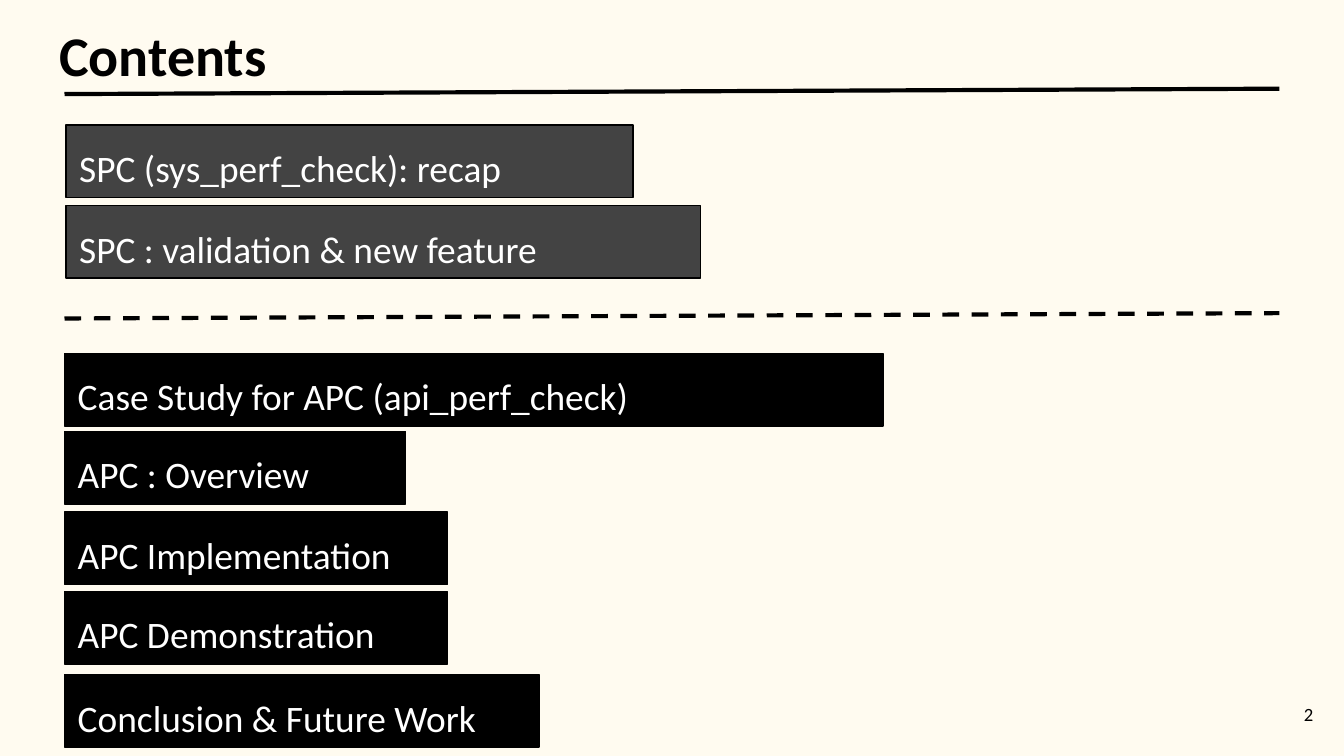
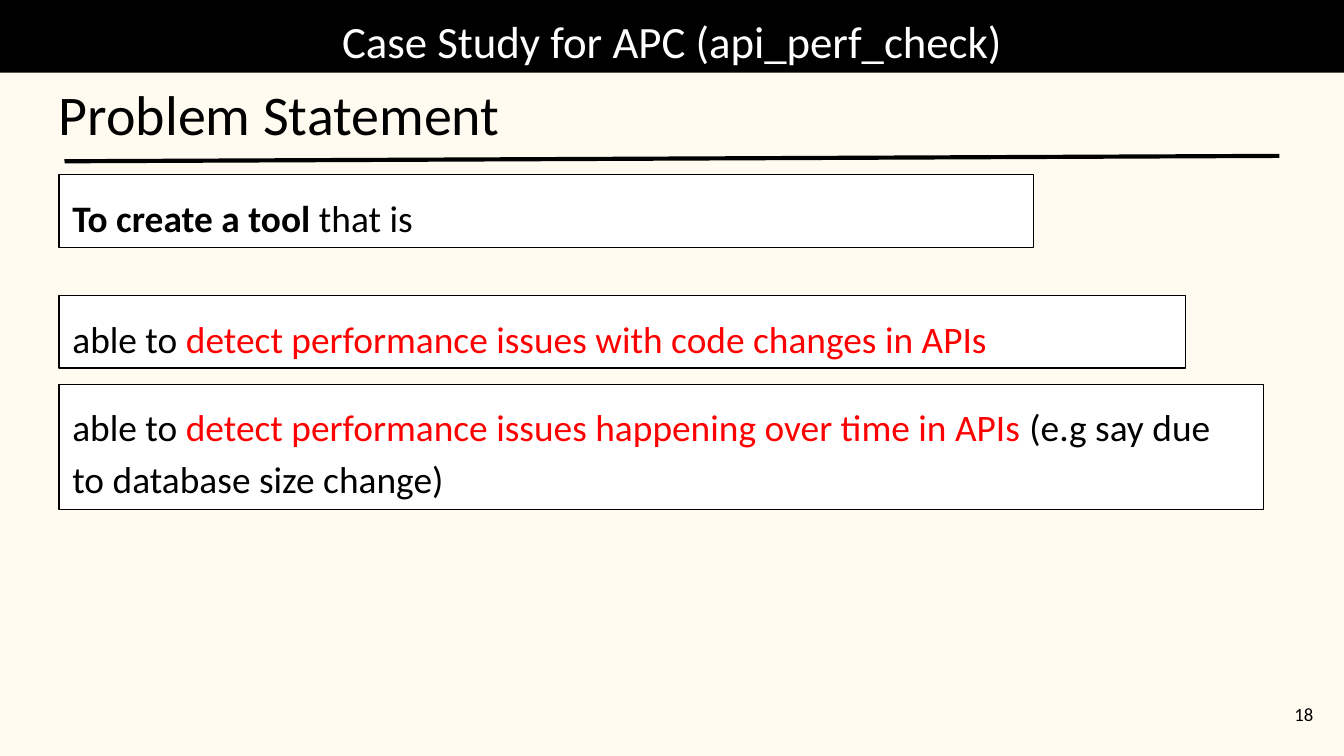
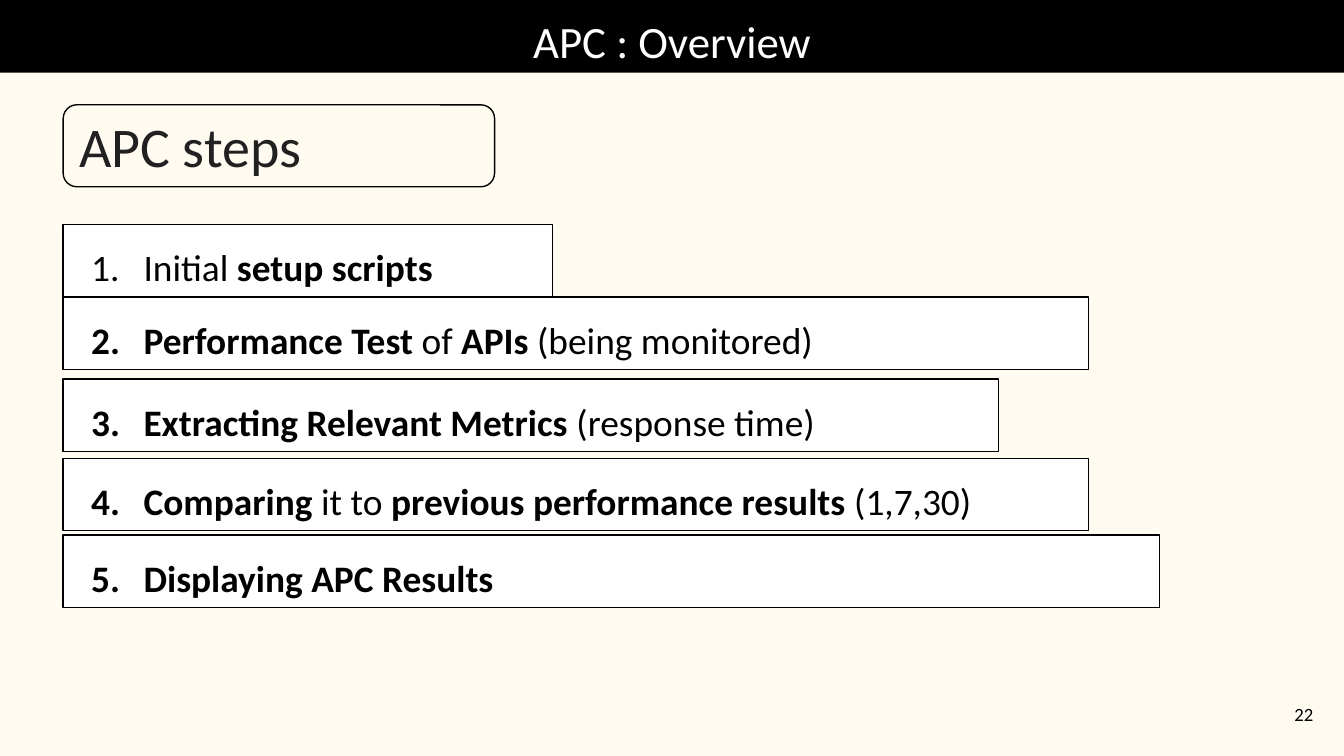
from lxml import etree
from pptx import Presentation
from pptx.dml.color import RGBColor
from pptx.enum import dml, shapes, text
from pptx.oxml import ns
from pptx.util import Inches, Pt

theme = {
    "font": "Calibri", "page": "FFFBF0", "black": "000000", "white": "FFFFFF",
    "grey": "434343", "red": "FF0000",
    "head": 30, "band": 24, "body": 20, "foot": 10,
    "thin": 0.75, "rule": 2.25,
}
color = {name: RGBColor.from_string(theme[name])
         for name in ("page", "black", "white", "grey", "red")}
left, center, right = (text.PP_ALIGN.LEFT, text.PP_ALIGN.CENTER,
                       text.PP_ALIGN.RIGHT)
list_form = {"line_spacing": 1.15, "space_after": Pt(16)}
step_form = {"line_spacing": 1.15}


def write(shape, runs, size, ink="black", form=None, align=left, fit=False,
          anchor=text.MSO_ANCHOR.TOP, number=None):
    """Fill a shape with one paragraph; a run is (text, bold, ink or None)."""
    frame = shape.text_frame
    mode = text.MSO_AUTO_SIZE
    setup = {"word_wrap": True, "vertical_anchor": anchor,
             "auto_size": mode.SHAPE_TO_FIT_TEXT if fit else mode.NONE}
    for side in ("left", "top", "right", "bottom"):
        setup["margin_" + side] = Inches(0.1)
    for key, value in setup.items():
        setattr(frame, key, value)
    para = frame.paragraphs[0]
    for key, value in {"alignment": align, **(form or {})}.items():
        setattr(para, key, value)
    if number:
        props = para._p.get_or_add_pPr()
        props.set("marL", str(Inches(0.5)))
        props.set("indent", str(Inches(-0.39)))
        tint = etree.SubElement(props, ns.qn("a:buClr"))
        etree.SubElement(tint, ns.qn("a:srgbClr"), val=theme["black"])
        etree.SubElement(props, ns.qn("a:buFont"), typeface=theme["font"])
        etree.SubElement(props, ns.qn("a:buAutoNum"), type="arabicPeriod",
                         startAt=str(number))
    for words, bold, hue in runs:
        run = para.add_run()
        run.text = words
        look = {"name": theme["font"], "size": Pt(size), "bold": bold}
        for key, value in look.items():
            setattr(run.font, key, value)
        run.font.color.rgb = color[hue or ink]


def block(slide, place, fill, kind=shapes.MSO_SHAPE.RECTANGLE):
    """Add a filled shape with a thin black outline."""
    shape = slide.shapes.add_shape(kind, *map(Inches, place))
    shape.shadow.inherit = False
    shape.fill.solid()
    shape.fill.fore_color.rgb = color[fill]
    shape.line.color.rgb = color["black"]
    shape.line.width = Pt(theme["thin"])
    return shape


# Widescreen page, 16:9
deck = Presentation()
deck.slide_width = Inches(10)
deck.slide_height = Inches(10) * 9 // 16

# Shared parts: page colour, title or band, rules, page number
pages = [
    ("Contents", False, 2, [(0.7, False), (2.37, True)]),
    ("Case Study for APC (api_perf_check)", True, 18, [(1.2, False)]),
    ("APC : Overview", True, 22, []),
]
for name, band, page, rules in pages:
    slide = deck.slides.add_slide(deck.slide_layouts[5])
    slide.background.fill.solid()
    slide.background.fill.fore_color.rgb = color["page"]
    title = slide.shapes.title
    place = (0, 0, 10, 0.54) if band else (0.34, 0.05, 9.06, 0.67)
    for key, value in zip(("left", "top", "width", "height"), place):
        setattr(title, key, Inches(value))
    if band:
        title.fill.solid()
        title.fill.fore_color.rgb = color["black"]
        write(title, [(name, False, None)], theme["band"], "white",
              align=center)
    else:
        write(title, [(name, True, None)], theme["head"])

    for top, dash in rules:
        rule = slide.shapes.add_connector(
            shapes.MSO_CONNECTOR.STRAIGHT, Inches(0.48), Inches(top),
            Inches(9.52), Inches(top - 0.04))
        rule.line.color.rgb = color["black"]
        rule.line.width = Pt(theme["rule"])
        if dash:
            rule.line.dash_style = dml.MSO_LINE.DASH
        etree.SubElement(rule._element.spPr, ns.qn("a:effectLst"))

    foot = slide.shapes.add_textbox(*map(Inches, (9.27, 5.1, 0.6, 0.43)))
    write(foot, [(str(page), False, None)], theme["foot"], align=right,
          anchor=text.MSO_ANCHOR.MIDDLE)

toc, case, view = deck.slides

# Contents: finished topics in grey, coming topics in black
topics = [
    ("SPC (sys_perf_check): recap", 0.49, 0.93, 4.22, "grey"),
    ("SPC : validation & new feature", 0.49, 1.53, 4.72, "grey"),
    ("Case Study for APC (api_perf_check)", 0.48, 2.63, 6.09, "black"),
    ("APC : Overview", 0.48, 3.21, 2.54, "black"),
    ("APC Implementation", 0.48, 3.81, 2.85, "black"),
    ("APC Demonstration", 0.48, 4.4, 2.85, "black"),
    ("Conclusion & Future Work", 0.48, 5.02, 3.53, "black"),
]
for words, x, y, wide, fill in topics:
    write(block(toc, (x, y, wide, 0.54), fill), [(words, False, None)],
          theme["body"], "white", list_form, fit=True)

# Case study: heading and goals
head = case.shapes.add_textbox(*map(Inches, (0.34, 0.49, 9.06, 0.67)))
write(head, [("Problem Statement", False, None)], theme["head"])
goals = [
    (1.3, 7.25, 0.54, [("To create a tool ", True, None),
                       ("that is", False, None)]),
    (2.2, 8.38, 0.54, [
        ("able to ", False, None),
        ("detect performance issues with code changes in APIs", False,
         "red")]),
    (2.86, 8.96, 0.93, [
        ("able to ", False, None),
        ("detect performance issues happening over time in APIs ", False,
         "red"),
        ("(e.g say due to database size change)", False, None)]),
]
for y, wide, high, runs in goals:
    write(block(case, (0.44, y, wide, high), "white"), runs, theme["body"],
          form=list_form, fit=True)

# Overview: heading under a translucent frame
head = view.shapes.add_textbox(*map(Inches, (0.49, 0.73, 4.29, 0.71)))
write(head, [("APC steps", False, None)], theme["head"], fit=True)
cover = block(view, (0.47, 0.78, 3.21, 0.61), "white",
              shapes.MSO_SHAPE.ROUNDED_RECTANGLE)
cover.adjustments[0] = 0.167
tint = cover._element.spPr.find(ns.qn("a:solidFill"))[0]
etree.SubElement(tint, ns.qn("a:alpha"), val="13000")

# Overview: numbered steps
steps = [
    (1.67, 3.64, [("Initial ", False, None), ("setup scripts", True, None)]),
    (2.21, 7.63, [("Performance Test ", True, None), ("of", False, None),
                  (" APIs ", True, None),
                  ("(being monitored)", False, None)]),
    (2.82, 6.96, [("Extracting Relevant Metrics ", True, None),
                  ("(response time)", False, None)]),
    (3.41, 7.63, [("Comparing ", True, None), ("it to", False, None),
                  (" previous performance results ", True, None),
                  ("(1,7,30)", False, None)]),
    (3.98, 8.16, [("Displaying APC Results", True, None)]),
]
for number, (y, wide, runs) in enumerate(steps, 1):
    write(block(view, (0.47, y, wide, 0.54), "white"), runs, theme["body"],
          form=step_form, fit=True, number=number)

deck.save("out.pptx")
